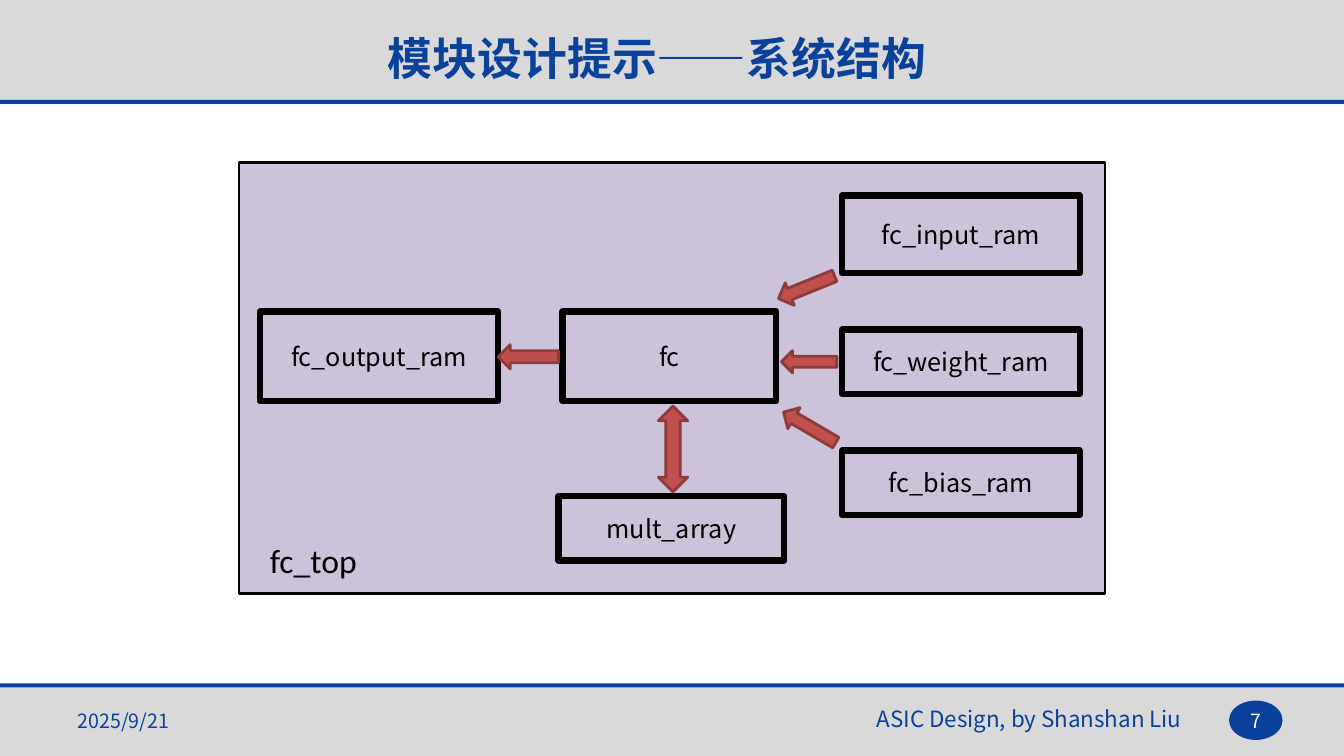
"""Build the system structure slide, placed in hundredths of the slide's size."""
from dataclasses import dataclass
from typing import Optional

from lxml.etree import SubElement
from pptx import Presentation
from pptx.dml.color import RGBColor
from pptx.enum.shapes import MSO_SHAPE as Form
from pptx.enum.text import MSO_ANCHOR as Anchor, MSO_AUTO_SIZE as Fit, PP_ALIGN as Align
from pptx.oxml.ns import qn
from pptx.util import Inches, Pt

WIDE, HIGH = Inches(13.33), Inches(7.5)


@dataclass(frozen=True)
class Theme:
    """Colours, fonts and type sizes."""
    blue: str = "0A419B"
    grey: str = "D9D9D9"
    lilac: str = "CCC2D9"
    red: str = "C0504D"
    rust: str = "8E3B39"
    black: str = "000000"
    white: str = "FFFFFF"
    sans: str = "Noto Sans CJK SC"
    latin: str = "Calibri"
    title: int = 32
    top: int = 24
    block: int = 18
    foot: int = 16
    small: int = 14
    thin: float = 2
    thick: float = 4.5


THEME = Theme()


@dataclass(frozen=True)
class Area:
    """Left and width in columns, top and height in rows, 100 of each."""
    left: float
    top: float
    wide: float
    high: float

    def place(self) -> tuple[int, int, int, int]:
        """Give the lengths that python-pptx takes."""
        return (int(self.left * WIDE / 100), int(self.top * HIGH / 100),
                int(self.wide * WIDE / 100), int(self.high * HIGH / 100))


@dataclass(frozen=True)
class Panel:
    """A filled shape, with or without an outline."""
    area: Area
    fill: str
    form: Form = Form.RECTANGLE
    line: Optional[str] = None
    weight: float = THEME.thin
    turn: float = 0


@dataclass(frozen=True)
class Label:
    """A text box of one line."""
    area: Area
    text: str
    size: int
    color: str = THEME.blue
    font: str = THEME.sans
    bold: bool = False
    align: Align = Align.LEFT
    anchor: Anchor = Anchor.MIDDLE
    grow: bool = False


@dataclass(frozen=True)
class Block:
    """A named module of the design."""
    name: str
    area: Area


@dataclass(frozen=True)
class Arrow:
    """A block arrow between modules."""
    area: Area
    form: Form = Form.LEFT_ARROW
    turn: float = 0


def write(frame, text: str, size: int, color: str, font: str,
          bold: bool, align: Align, anchor: Anchor) -> None:
    """Put one run of text in a frame."""
    frame.word_wrap = True
    frame.vertical_anchor = anchor
    line = frame.paragraphs[0]
    line.alignment = align
    run = line.add_run()
    run.text = text
    run.font.size = Pt(size)
    run.font.bold = bold
    run.font.name = font
    run.font.color.rgb = RGBColor.from_string(color)
    SubElement(run.font._element, qn("a:ea"), typeface=font)


def draw_panel(slide, panel: Panel):
    """Draw a filled shape and return it."""
    shape = slide.shapes.add_shape(panel.form, *panel.area.place())
    shape.shadow.inherit = False
    shape.rotation = panel.turn
    shape.fill.solid()
    shape.fill.fore_color.rgb = RGBColor.from_string(panel.fill)
    if panel.line:
        shape.line.color.rgb = RGBColor.from_string(panel.line)
        shape.line.width = Pt(panel.weight)
    else:
        shape.line.fill.background()
    return shape


def draw_label(slide, label: Label) -> None:
    """Draw a text box."""
    frame = slide.shapes.add_textbox(*label.area.place()).text_frame
    write(frame, label.text, label.size, label.color, label.font,
          label.bold, label.align, label.anchor)
    if label.grow:
        frame.auto_size = Fit.SHAPE_TO_FIT_TEXT


def draw_block(slide, block: Block) -> None:
    """Draw a module with its name."""
    shape = draw_panel(slide, Panel(block.area, THEME.lilac, line=THEME.black,
                                    weight=THEME.thick))
    write(shape.text_frame, block.name, THEME.block, THEME.black, THEME.sans,
          False, Align.CENTER, Anchor.MIDDLE)


def draw_arrow(slide, arrow: Arrow) -> None:
    """Draw a block arrow."""
    draw_panel(slide, Panel(arrow.area, THEME.red, arrow.form, THEME.rust,
                            turn=arrow.turn))


FOOT, RAM, RAM_WIDE, MID, MID_HIGH, LOW = 92.67, 62.64, 17.7, 41.2, 11.87, 8.53
PANELS = (
    Panel(Area(0, 90.93, 100, 9.07), THEME.grey),
    Panel(Area(0, 0, 100, 13.2), THEME.grey),
    Panel(Area(91.45, FOOT, 3.98, 5.2), THEME.blue, Form.OVAL),
    Panel(Area(0, 13.2, 100, 0.53), THEME.blue),
    Panel(Area(0, 90.4, 100, 0.53), THEME.blue),
    Panel(Area(17.78, 21.47, 64.44, 57.07), THEME.lilac, line=THEME.black),
)
LABELS = (
    Label(Area(37.43, FOOT, 51.24, 7.33), "ASIC Design, by Shanshan Liu",
          THEME.foot, align=Align.RIGHT, anchor=Anchor.TOP),
    Label(Area(28.13, 3.2, 43.74, 8.93), "模块设计提示——系统结构",
          THEME.title, bold=True),
    Label(Area(5.03, FOOT, 23.33, 5.33), "2025/9/21", THEME.small),
    Label(Area(91, FOOT, 4.88, 5.33), "7", THEME.small, THEME.white,
          align=Align.CENTER),
    Label(Area(19.35, 70.8, 9.08, 6.67), "fc_top", THEME.top, THEME.black,
          THEME.latin, anchor=Anchor.TOP, grow=True),
)
BLOCKS = (
    Block("fc_input_ram", Area(RAM, 25.87, RAM_WIDE, 10.27)),
    Block("fc", Area(41.86, MID, 15.9, MID_HIGH)),
    Block("fc_weight_ram", Area(RAM, 43.6, RAM_WIDE, LOW)),
    Block("fc_bias_ram", Area(RAM, 59.6, RAM_WIDE, LOW)),
    Block("fc_output_ram", Area(19.35, MID, RAM_WIDE, MID_HIGH)),
    Block("mult_array", Area(41.56, 65.6, 16.8, LOW)),
)
ARROWS = (
    Arrow(Area(48.99, 53.73, 2.18, 11.33), Form.UP_DOWN_ARROW),
    Arrow(Area(37.06, 45.6, 4.5, 3.2)),
    Arrow(Area(57.76, 36.4, 4.5, 3.2), turn=337.9),
    Arrow(Area(58.14, 46.4, 4.13, 2.93)),
    Arrow(Area(57.99, 54.93, 4.5, 3.2), turn=30.3),
)


def main() -> None:
    """Draw the slide and save it."""
    deck = Presentation()
    deck.slide_width, deck.slide_height = WIDE, HIGH
    slide = deck.slides.add_slide(deck.slide_layouts[6])
    for draw, items in ((draw_panel, PANELS), (draw_label, LABELS),
                        (draw_block, BLOCKS), (draw_arrow, ARROWS)):
        for item in items:
            draw(slide, item)
    deck.save("out.pptx")


if __name__ == "__main__":
    main()
